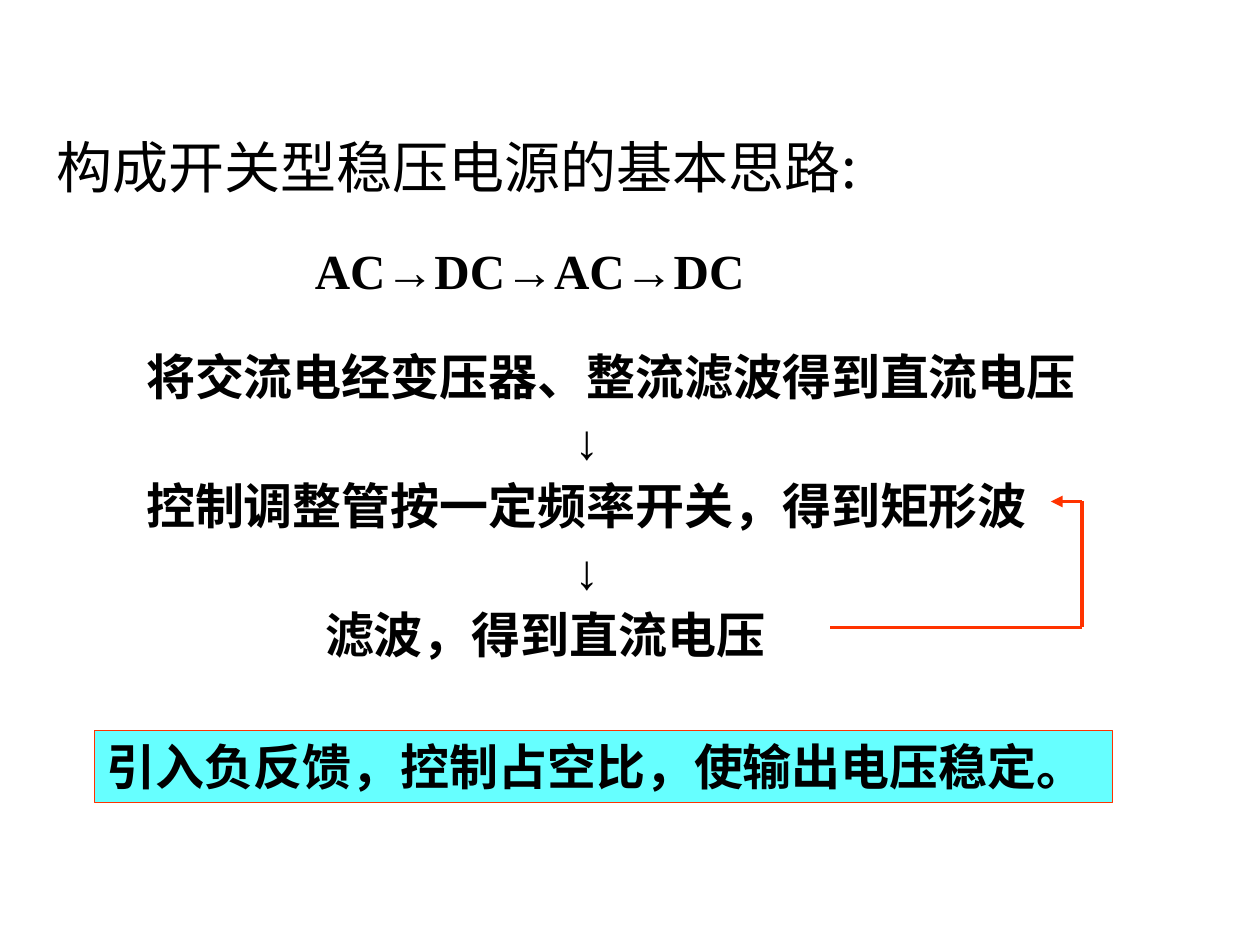
from lxml import etree
from pptx import Presentation
from pptx import util as u
from pptx.dml.color import RGBColor
from pptx.enum import shapes, text
from pptx.oxml.ns import qn

COLORS = {"ink": "000000", "accent": "FF3300", "panel": "66FFFF", "page": "FFFFFF"}
COLS, ROWS = 100, 75
W, H = u.Inches(10), u.Inches(7.5)
CJK = "Noto Sans CJK SC"
HEADING = {"name": CJK, "size": u.Pt(32), "bold": False}
STEP = {"name": "Arial", "size": u.Pt(28), "bold": True}
NOTE = {"name": "Times New Roman", "size": u.Pt(28), "bold": True}


def color(key):
    return RGBColor.from_string(COLORS[key])


def x(cols):
    return round(W * cols / COLS)


def y(rows):
    return round(H * rows / ROWS)


def place(sp, left, top, width, height):
    sp.left, sp.top, sp.width, sp.height = x(left), y(top), x(width), y(height)


def setup_frame(sp, anchor):
    tf = sp.text_frame
    frame = {"word_wrap": True, "auto_size": text.MSO_AUTO_SIZE.NONE,
             "vertical_anchor": anchor}
    for key, value in frame.items():
        setattr(tf, key, value)
    return tf


def write(p, words, font, spacing=1.0, before=0, east_asian=True):
    layout = {"alignment": text.PP_ALIGN.LEFT, "line_spacing": spacing,
              "space_before": u.Pt(before), "space_after": u.Pt(0)}
    for key, value in layout.items():
        setattr(p, key, value)
    r = p.add_run()
    r.text = words
    for key, value in font.items():
        setattr(r.font, key, value)
    r.font.color.rgb = color("ink")
    if east_asian:
        latin = r.font._element.find(qn("a:latin"))
        ea = etree.Element(qn("a:ea"), typeface=CJK)
        latin.addnext(ea)


def add_title(s, words):
    sp = s.shapes.title
    place(sp, 3.5, 10.7, 75.2, 5.8)
    tf = setup_frame(sp, text.MSO_ANCHOR.MIDDLE)
    write(tf.paragraphs[0], words, HEADING, spacing=0.85)


def add_steps(s, steps):
    sp = s.placeholders[1]
    place(sp, 9, 26.5, 80.8, 27.6)
    tf = setup_frame(sp, text.MSO_ANCHOR.TOP)
    for i, (indent, words) in enumerate(steps):
        p = tf.paragraphs[0] if i == 0 else tf.add_paragraph()
        write(p, words, STEP, spacing=1.1, east_asian=words != "↓")
        pPr = p._p.get_or_add_pPr()
        pPr.set("marL", str(x(indent)))
        pPr.set("indent", "0")
        etree.SubElement(pPr, qn("a:buNone"))


def add_formula(s, words):
    sp = s.shapes.add_textbox(x(24), y(18.6), x(55.1), y(5.7))
    tf = setup_frame(sp, text.MSO_ANCHOR.TOP)
    write(tf.paragraphs[0], words, NOTE, before=17.5, east_asian=False)


def add_panel(s, words):
    sp = s.shapes.add_shape(shapes.MSO_SHAPE.RECTANGLE,
                            x(7.5), y(58), x(80.8), y(5.7))
    sp.shadow.inherit = False
    sp.fill.solid()
    sp.fill.fore_color.rgb = color("panel")
    sp.line.color.rgb = color("accent")
    sp.line.width = u.Pt(0.75)
    tf = setup_frame(sp, text.MSO_ANCHOR.TOP)
    write(tf.paragraphs[0], words, NOTE, before=17.5)


def add_feedback(s, points):
    group = s.shapes.add_group_shape()
    for (x1, y1), (x2, y2) in zip(points, points[1:]):
        line = group.shapes.add_connector(shapes.MSO_CONNECTOR.STRAIGHT,
                                          x(x1), y(y1), x(x2), y(y2))
        line.line.color.rgb = color("accent")
        line.line.width = u.Pt(2.25)
        etree.SubElement(line._element.spPr, qn("a:effectLst"))
    etree.SubElement(line.line._get_or_add_ln(), qn("a:tailEnd"), type="triangle")


def main():
    prs = Presentation()
    prs.slide_width, prs.slide_height = W, H
    s = prs.slides.add_slide(prs.slide_layouts[1])
    s.background.fill.solid()
    s.background.fill.fore_color.rgb = color("page")
    add_title(s, "构成开关型稳压电源的基本思路:")
    add_steps(s, [
        (1.6, "将交流电经变压器、整流滤波得到直流电压"),
        (35.6, "↓"),
        (1.6, "控制调整管按一定频率开关，得到矩形波"),
        (35.6, "↓"),
        (15.8, "滤波，得到直流电压"),
    ])
    add_feedback(s, [(65.9, 49.8), (85.9, 49.8), (85.9, 39.8), (83.4, 39.8)])
    add_panel(s, "引入负反馈，控制占空比，使输出电压稳定。")
    add_formula(s, "AC→DC→AC→DC")
    prs.save("out.pptx")


if __name__ == "__main__":
    main()
